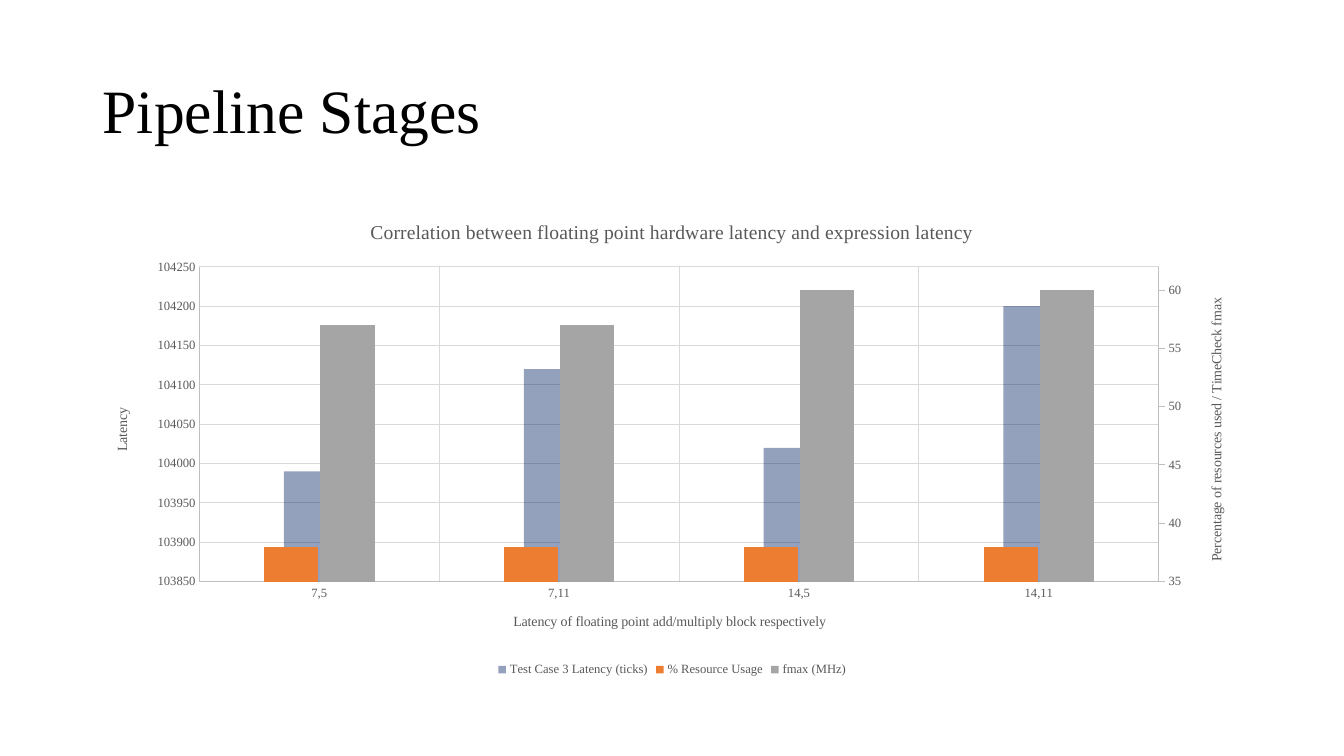
from copy import deepcopy

from lxml import etree
from pptx import Presentation
from pptx.chart.axis import CategoryAxis, ValueAxis
from pptx.chart.data import CategoryChartData
from pptx.dml.color import RGBColor
from pptx.enum.chart import XL_CHART_TYPE, XL_LEGEND_POSITION, XL_TICK_MARK
from pptx.enum.text import MSO_ANCHOR
from pptx.oxml.ns import qn
from pptx.util import Cm, Pt

COLUMNS = XL_CHART_TYPE.COLUMN_CLUSTERED
LEGEND_BOTTOM = XL_LEGEND_POSITION.BOTTOM
TICK_NONE, TICK_OUTSIDE = XL_TICK_MARK.NONE, XL_TICK_MARK.OUTSIDE
MIDDLE = MSO_ANCHOR.MIDDLE

FONT = "Times New Roman"
BLACK = RGBColor(0x00, 0x00, 0x00)
GREY_TEXT = RGBColor(0x59, 0x59, 0x59)
AXIS_GREY = RGBColor(0xBF, 0xBF, 0xBF)
GRID_GREY = RGBColor(0xD9, 0xD9, 0xD9)
NAVY = RGBColor(0x00, 0x20, 0x60)
ORANGE = RGBColor(0xED, 0x7D, 0x31)
SILVER = RGBColor(0xA5, 0xA5, 0xA5)

TITLE_BOX = (Cm(2.34), Cm(1.02), Cm(29.21), Cm(3.68))
CHART_BOX = (Cm(2.34), Cm(5.07), Cm(29.2), Cm(12.09))

CATEGORIES = ["7,5", "7,11", "14,5", "14,11"]
SERIES = [
    ("Test Case 3 Latency (ticks)", [103990, 104120, 104020, 104200], NAVY),
    ("% Resource Usage", [38, 38, 38, 38], ORANGE),
    ("fmax (MHz)", [57, 57, 60, 60], SILVER),
]
NAVY_OPACITY = 42
PLOT_AREA = {"x": 0.092, "y": 0.137, "w": 0.828, "h": 0.656}
RIGHT_CATEGORY_ID, RIGHT_VALUE_ID = "50010", "50020"


def set_font(font, size, color=GREY_TEXT):
    font.name, font.size, font.bold = FONT, Pt(size), False
    font.color.rgb = color


def write_title(title, text, size):
    para = title.text_frame.paragraphs[0]
    para.text = text
    set_font(para.font, size)


def style_axis(axis, title):
    axis.major_tick_mark = axis.minor_tick_mark = TICK_NONE
    set_font(axis.tick_labels.font, 9)
    axis.has_major_gridlines = True
    for line, color in ((axis.format.line, AXIS_GREY),
                        (axis.major_gridlines.format.line, GRID_GREY)):
        line.color.rgb = color
        line.width = Pt(0.75)
    write_title(axis.axis_title, title, 10)


def set_scale(axis, low, high, step):
    axis.minimum_scale, axis.maximum_scale, axis.major_unit = low, high, step


def set_value(node, tag, value):
    node.find(qn(tag)).set("val", value)


def fix_plot_area(plot_area):
    for layout in plot_area.findall(qn("c:layout")):
        plot_area.remove(layout)
    layout = etree.Element(qn("c:layout"))
    manual = etree.SubElement(layout, qn("c:manualLayout"))
    settings = [("layoutTarget", "inner"), ("xMode", "edge"), ("yMode", "edge")]
    for name, value in settings + list(PLOT_AREA.items()):
        etree.SubElement(manual, qn(f"c:{name}")).set("val", str(value))
    plot_area.insert(0, layout)


def add_right_axis(plot_area, title):
    """Move every series but the first to a second pair of axes."""
    left_bars = plot_area.find(qn("c:barChart"))
    category_node = plot_area.find(qn("c:catAx"))
    value_node = plot_area.find(qn("c:valAx"))

    # Split the columns
    right_bars = deepcopy(left_bars)
    for series in left_bars.findall(qn("c:ser"))[1:]:
        left_bars.remove(series)
    right_bars.remove(right_bars.find(qn("c:ser")))
    for node, axis_id in zip(right_bars.findall(qn("c:axId")),
                             (RIGHT_CATEGORY_ID, RIGHT_VALUE_ID)):
        node.set("val", axis_id)
    left_bars.addnext(right_bars)

    # Pair of axes: values at the right, categories hidden
    right_value, right_category = deepcopy(value_node), deepcopy(category_node)
    value_node.addnext(right_value)
    right_value.addnext(right_category)
    for node, own_id, other_id in (
            (right_value, RIGHT_VALUE_ID, RIGHT_CATEGORY_ID),
            (right_category, RIGHT_CATEGORY_ID, RIGHT_VALUE_ID)):
        set_value(node, "c:axId", own_id)
        set_value(node, "c:crossAx", other_id)
    set_value(right_value, "c:axPos", "r")
    set_value(right_value, "c:crosses", "max")

    value_axis = ValueAxis(right_value)
    value_axis.has_major_gridlines = False
    value_axis.major_tick_mark = TICK_OUTSIDE
    set_scale(value_axis, 35, 62, 5)
    write_title(value_axis.axis_title, title, 10)
    category_axis = CategoryAxis(right_category)
    category_axis.has_major_gridlines = category_axis.has_title = False
    category_axis.visible = False


def add_title(slide, box):
    frame = slide.shapes.add_textbox(*box).text_frame
    frame.word_wrap = True
    frame.vertical_anchor = MIDDLE
    para = frame.paragraphs[0]
    para.text = "Pipeline Stages"
    para.line_spacing = 0.9
    set_font(para.font, 44, BLACK)


def add_latency_chart(slide, box):
    data = CategoryChartData()
    data.categories = CATEGORIES
    for name, values, _ in SERIES:
        data.add_series(name, values)
    chart = slide.shapes.add_chart(COLUMNS, *box, data).chart
    set_font(chart.font, 10, BLACK)
    write_title(chart.chart_title, "Correlation between floating point hardware "
                "latency and expression latency", 14)
    chart.chart_title.include_in_layout = False

    # Legend
    chart.has_legend = True
    chart.legend.position = LEGEND_BOTTOM
    chart.legend.include_in_layout = False
    set_font(chart.legend.font, 9)

    # Columns
    plot = chart.plots[0]
    plot.vary_by_categories = False
    plot.gap_width, plot.overlap = 239, -4
    for series, (_, _, color) in zip(plot.series, SERIES):
        series.format.fill.solid()
        series.format.fill.fore_color.rgb = color
    plot_area = chart.element.find(".//" + qn("c:plotArea"))
    navy = plot_area.find(".//" + qn("a:solidFill") + "/" + qn("a:srgbClr")
                          + f"[@val='{NAVY}']")
    etree.SubElement(navy, qn("a:alpha")).set("val", str(NAVY_OPACITY * 1000))

    # Axes
    style_axis(chart.category_axis,
               "Latency of floating point add/multiply block respectively")
    style_axis(chart.value_axis, "Latency")
    set_scale(chart.value_axis, 103850, 104250, 50)
    body = plot_area.find(qn("c:valAx")).find(".//" + qn("c:rich") + "/" + qn("a:bodyPr"))
    body.set("rot", "-5400000")
    body.set("vert", "horz")
    add_right_axis(plot_area, "Percentage of resources used / TimeCheck fmax")
    fix_plot_area(plot_area)


def main():
    deck = Presentation()
    deck.slide_width, deck.slide_height = Cm(33.87), Cm(19.05)
    slide = deck.slides.add_slide(deck.slide_layouts[6])
    add_title(slide, TITLE_BOX)
    add_latency_chart(slide, CHART_BOX)
    deck.save("out.pptx")


if __name__ == "__main__":
    main()
